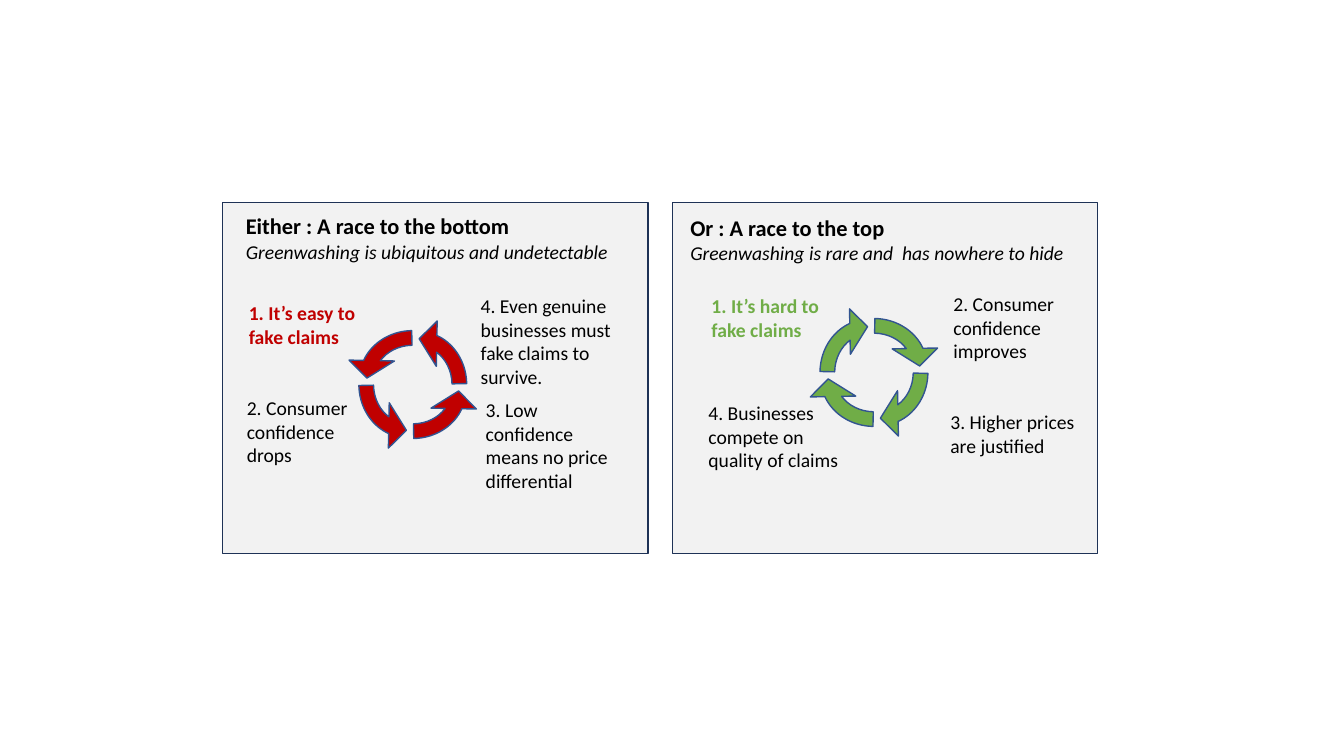
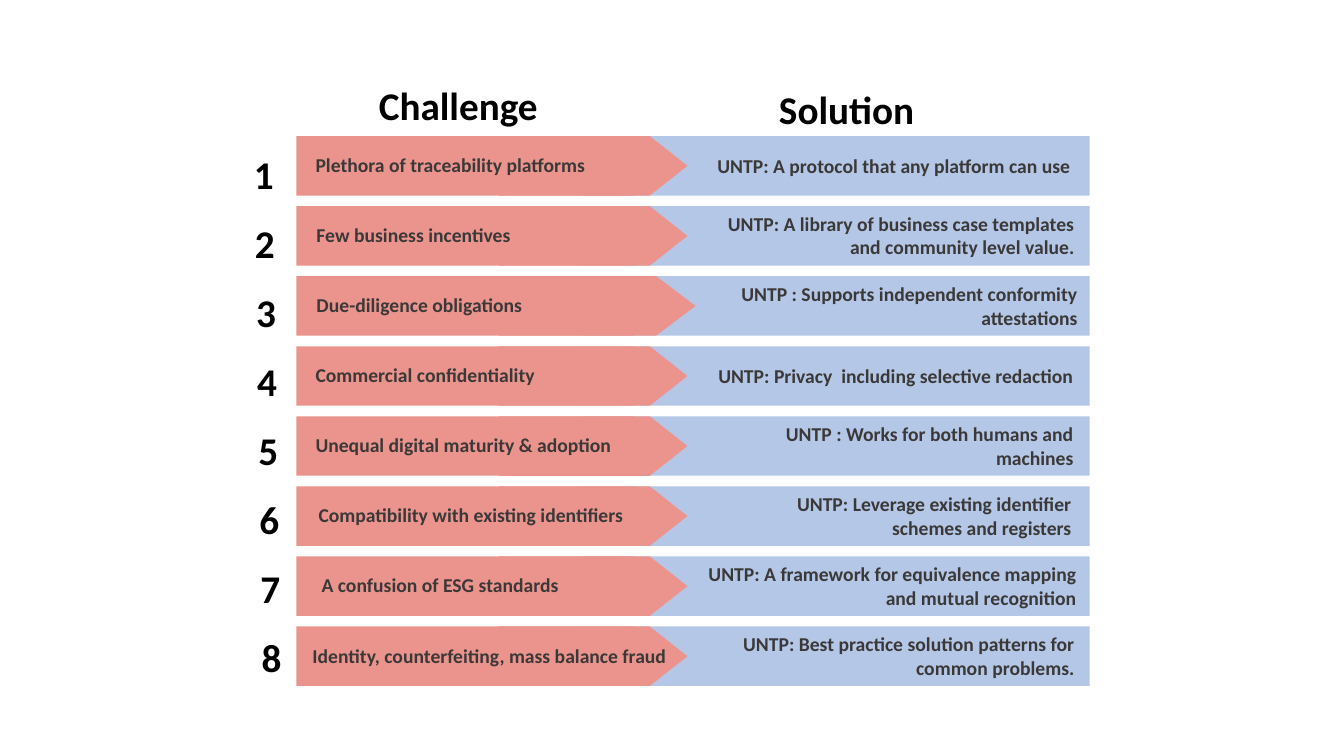
from dataclasses import dataclass, replace
from math import cos, radians, sin

from pptx import Presentation
from pptx.dml.color import RGBColor
from pptx.enum.shapes import MSO_SHAPE
from pptx.enum.text import MSO_ANCHOR, PP_ALIGN
from pptx.util import Inches, Pt


@dataclass(frozen=True)
class TextStyle:
    size: int
    color: str = "000000"
    bold: bool = False
    italic: bool = False


@dataclass(frozen=True)
class Theme:
    font: str = "Calibri"
    panel: str = "F2F2F2"
    panel_edge: str = "1E3256"
    arrow_edge: str = "325491"
    bottom: str = "C00000"
    top: str = "70AD47"
    challenge: str = "EB948D"
    solution: str = "B4C7E7"
    heading: TextStyle = TextStyle(28, bold=True)
    title: TextStyle = TextStyle(16, bold=True)
    subtitle: TextStyle = TextStyle(14, italic=True)
    body: TextStyle = TextStyle(14)
    label: TextStyle = TextStyle(14, "3B3838", bold=True)


@dataclass(frozen=True)
class Race:
    panel_left: float
    color: str
    title_box: tuple
    title: str
    subtitle: str
    hub: tuple
    mirrored: bool
    steps: tuple


@dataclass(frozen=True)
class Pairing:
    challenge: str
    solution: str
    challenge_left: float
    solution_left: float
    solution_right: float
    reach: float = 18.7


class Deck:
    CELL = Inches(0.1)
    COLUMNS, ROWS = 133.33, 75
    ARROW_ADJUSTMENTS = (0.115, 13.894, 201.444, 162.719, 0.178)

    def __init__(self, theme):
        self.theme = theme
        self.presentation = Presentation()
        self.presentation.slide_width = self.cells(self.COLUMNS)
        self.presentation.slide_height = self.cells(self.ROWS)
        self.slide = None

    def cells(self, count):
        return round(count * self.CELL)

    def new_slide(self):
        self.slide = self.presentation.slides.add_slide(self.presentation.slide_layouts[6])

    def shape(self, kind, box, fill, edge=None, rotation=0):
        shape = self.slide.shapes.add_shape(kind, *map(self.cells, box))
        shape.shadow.inherit = False
        shape.rotation = rotation
        shape.fill.solid()
        shape.fill.fore_color.rgb = RGBColor.from_string(fill)
        if edge:
            shape.line.color.rgb = RGBColor.from_string(edge)
            shape.line.width = Pt(1)
        else:
            shape.line.fill.background()
        return shape

    def text(self, box, *lines, align=PP_ALIGN.LEFT, wrap=True, inset=None):
        frame = self.slide.shapes.add_textbox(*map(self.cells, box)).text_frame
        frame.word_wrap = wrap
        if inset is not None:
            frame.vertical_anchor = MSO_ANCHOR.MIDDLE
            frame.margin_left = frame.margin_right = self.cells(inset)
            frame.margin_top = frame.margin_bottom = self.cells(inset)
        for index, (words, style) in enumerate(lines):
            paragraph = frame.add_paragraph() if index else frame.paragraphs[0]
            paragraph.text = words
            paragraph.alignment = align
            font = paragraph.font
            font.name, font.size = self.theme.font, Pt(style.size)
            font.bold, font.italic = style.bold, style.italic
            font.color.rgb = RGBColor.from_string(style.color)

    def cycle(self, hub, fill, mirrored):
        width, height, offset = 13.6, 12.65, 0.55
        for angle in range(0, 360, 90):
            left = hub[0] + offset * sin(radians(angle)) - width / 2
            top = hub[1] - offset * cos(radians(angle)) - height / 2
            arrow = self.shape(MSO_SHAPE.CIRCULAR_ARROW, (left, top, width, height),
                               fill, self.theme.arrow_edge, angle)
            for index, value in enumerate(self.ARROW_ADJUSTMENTS):
                arrow.adjustments[index] = value
            if mirrored:
                arrow._element.spPr.get_or_add_xfrm().set("flipH", "1")

    def race(self, race):
        theme = self.theme
        self.shape(MSO_SHAPE.RECTANGLE, (race.panel_left, 20.1, 42.2, 34.8),
                   theme.panel, theme.panel_edge)
        self.text(race.title_box, (race.title, theme.title), (race.subtitle, theme.subtitle))
        self.cycle(race.hub, race.color, race.mirrored)
        first_step = replace(theme.body, color=race.color, bold=True)
        for index, (words, box) in enumerate(race.steps):
            self.text(box, (words, theme.body if index else first_step))

    def pairing(self, row, pairing):
        theme = self.theme
        top, height = 13.5 + 6.95 * row, 5.9
        tip_left = 49.5
        self.shape(MSO_SHAPE.RECTANGLE, (57.6, top, 50.5, height), theme.solution)
        self.shape(MSO_SHAPE.RECTANGLE, (29.4, top, 33.5, height), theme.challenge)
        self.shape(MSO_SHAPE.FLOWCHART_OFFPAGE_CONNECTOR,
                   (tip_left + (pairing.reach - height) / 2,
                    top + (height - pairing.reach) / 2, height, pairing.reach),
                   theme.challenge, rotation=270)
        self.text((pairing.challenge_left, top + 0.6, 39.8, 4.5),
                  (pairing.challenge, theme.label), inset=1.3)
        self.text((pairing.solution_left, top,
                   pairing.solution_right - pairing.solution_left, 5.8),
                  (pairing.solution, theme.label), align=PP_ALIGN.RIGHT, inset=1.3)
        self.text((24.2 + 0.11 * row, 14.4 + 6.85 * row, 4, 5.7),
                  (str(row + 1), theme.heading), wrap=False)


THEME = Theme()

RACES = (
    Race(66.7, THEME.top, (67.5, 20.7, 40.3, 6.1),
         "Or : A race to the top", "Greenwashing is rare and  has nowhere to hide",
         (86.7, 36.95), False, (
             ("1. It’s hard to fake claims", (69.6, 28.7, 12.7, 11)),
             ("2. Consumer confidence improves", (93.6, 28.5, 13.1, 11)),
             ("3. Higher prices are justified", (93.3, 40.2, 15.3, 7.8)),
             ("4. Businesses compete on quality of claims", (69.3, 39.3, 16.6, 11)))),
    Race(22.1, THEME.bottom, (23.4, 20.6, 38.5, 6.1),
         "Either : A race to the bottom", "Greenwashing is ubiquitous and undetectable",
         (40.95, 38.15), True, (
             ("1. It’s easy to fake claims", (23.7, 29.4, 12.7, 11)),
             ("2. Consumer confidence drops", (23.5, 38.8, 14.5, 11)),
             ("3. Low confidence means no price differential", (47.2, 39, 15.8, 14.2)),
             ("4. Even genuine businesses must fake claims to survive.",
              (46.7, 28.7, 18.2, 14.2)))),
)

PAIRINGS = (
    Pairing("Plethora of traceability platforms",
            "UNTP: A protocol that any platform can use", 30, 67.7, 107.5),
    Pairing("Few business incentives",
            "UNTP: A library of business case templates and community level value.",
            30.1, 70.9, 107.9),
    Pairing("Due-diligence obligations",
            "UNTP : Supports independent conformity attestations",
            30.1, 71.3, 108.2, reach=19.5),
    Pairing("Commercial confidentiality",
            "UNTP: Privacy  including selective redaction", 30, 69.9, 107.8),
    Pairing("Unequal digital maturity & adoption",
            "UNTP : Works for both humans and machines", 30, 70.9, 107.8),
    Pairing("Compatibility with existing identifiers",
            "UNTP: Leverage existing identifier schemes and registers",
            30.3, 76.3, 107.6),
    Pairing("A confusion of ESG standards",
            "UNTP: A framework for equivalence mapping and mutual recognition",
            30.6, 68.6, 108.1),
    Pairing("Identity, counterfeiting, mass balance fraud",
            "UNTP: Best practice solution patterns for common problems.",
            29.7, 70.4, 107.9),
)


def main():
    deck = Deck(THEME)
    deck.new_slide()
    for race in RACES:
        deck.race(race)
    deck.new_slide()
    for row, pairing in enumerate(PAIRINGS):
        deck.pairing(row, pairing)
    deck.text((36.6, 7.6, 25.4, 5.7), ("Challenge", THEME.heading))
    deck.text((76.3, 8, 25.4, 5.7), ("Solution", THEME.heading))
    deck.presentation.save("out.pptx")


if __name__ == "__main__":
    main()
